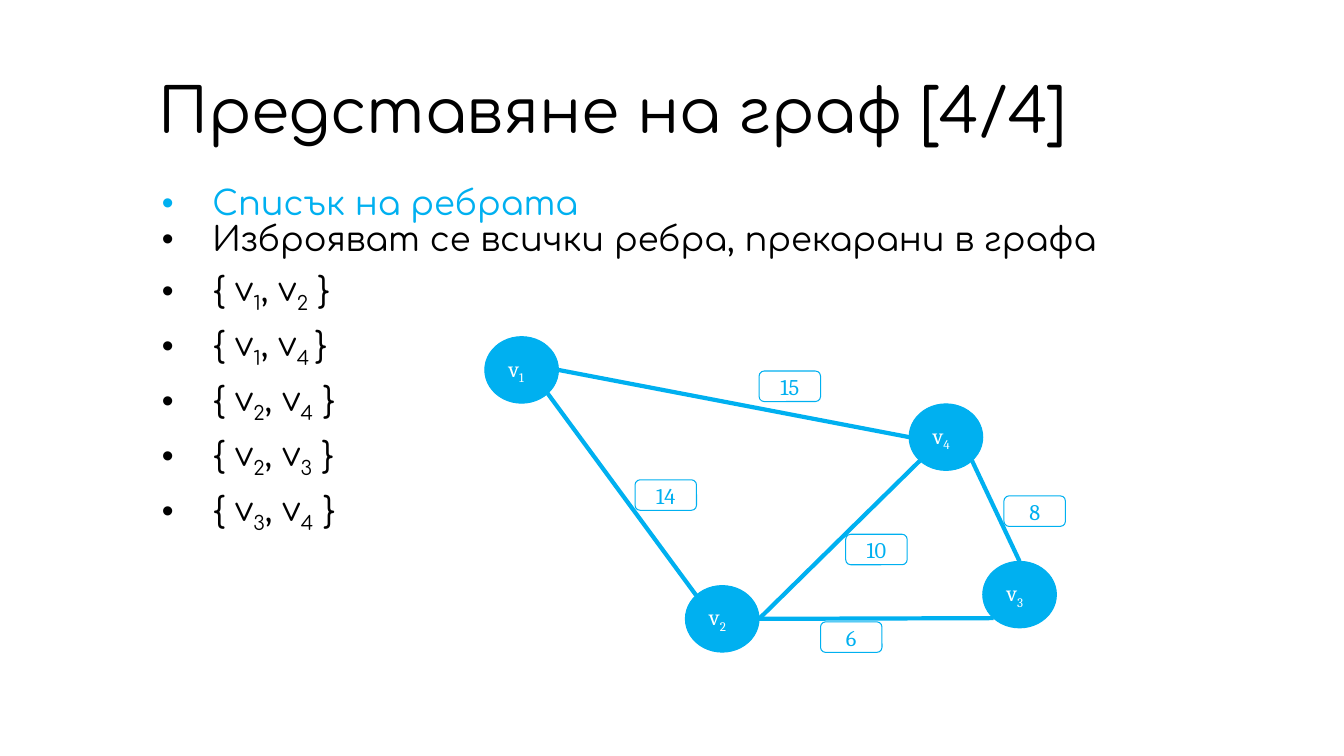
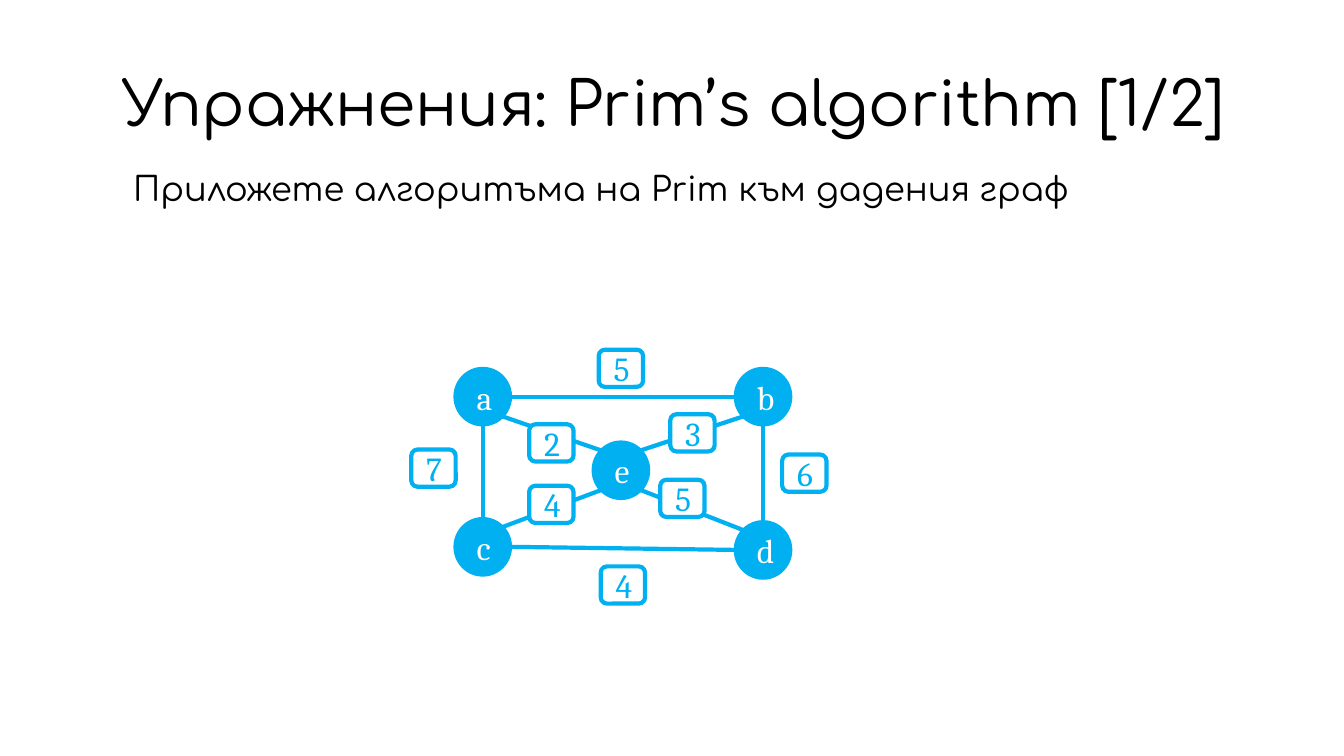
from lxml import etree
from pptx import Presentation
from pptx.dml.color import RGBColor
from pptx.enum.shapes import MSO_CONNECTOR, MSO_SHAPE
from pptx.enum.text import MSO_ANCHOR, MSO_AUTO_SIZE, PP_ALIGN
from pptx.oxml.ns import qn
from pptx.util import Pt

OVAL = MSO_SHAPE.OVAL
ROUNDED = MSO_SHAPE.ROUNDED_RECTANGLE
STRAIGHT = MSO_CONNECTOR.STRAIGHT
TOP, MIDDLE = MSO_ANCHOR.TOP, MSO_ANCHOR.MIDDLE
LEFT, CENTER = PP_ALIGN.LEFT, PP_ALIGN.CENTER
BLUE, BLACK, WHITE = "00B0F0", "000000", "FFFFFF"
TEXT_FONT, GRAPH_FONT = "Comfortaa", "Cambria"
TITLE_SIZE, BODY_SIZE = 44, 24
EDGE_WIDTH = 3
DIAGONAL = 0.5 ** 0.5
SITES = {
    "top": (0, -1),
    "left": (-1, 0),
    "bottom": (0, 1),
    "right": (1, 0),
    "top left": (-DIAGONAL, -DIAGONAL),
    "top right": (DIAGONAL, -DIAGONAL),
    "bottom left": (-DIAGONAL, DIAGONAL),
    "bottom right": (DIAGONAL, DIAGONAL),
}

edge_pairs = [("1", "2"), ("1", "4 "), ("2", "4"), ("2", "3"), ("3", "4")]
edge_list = [
    ["{ v", first, ", v", second, "}" if second.endswith(" ") else " }"]
    for first, second in edge_pairs
]

slides = [
    {
        "title": "Представяне на граф [4/4]",
        "title_box": (104.4, 51.1, 751.7, 60.5),
        "body_box": (95, 130.3, 745.9, 272.2),
        "bulleted": True,
        "body": [
            (["Списък на ребрата"], BLUE, 0.9),
            (["Изброяват се всички ребра, прекарани в графа"], BLACK, 0.9),
        ] + [(parts, BLACK, 1.2) for parts in edge_list],
        "text_size": 16,
        "outline": 0.75,
        "node_size": (52.6, 47.5),
        "node_align": LEFT,
        "nodes": {
            "v1": (346.3, 240.5),
            "v2": (489.6, 418.3),
            "v3": (702, 401),
            "v4": (649.4, 288.5),
        },
        "edges": [
            ("v1", "bottom right", "v2", "top left"),
            ("v2", "right", "v3", "bottom left"),
            ("v3", "top", "v4", "bottom right"),
            ("v2", "right", "v4", "bottom left"),
            ("v1", "right", "v4", "left"),
        ],
        "weight_size": (43.9, 21.8),
        "weight_fill": None,
        "weights": [
            ("14", 453.6, 342.7),
            ("6", 586.1, 444.2),
            ("8", 717.1, 354.2),
            ("10", 604.1, 381.6),
            ("15", 542.2, 265),
        ],
    },
    {
        "title": "Упражнения: Prim’s algorithm [1/2]",
        "title_box": (79.2, 46.1, 821.5, 60.5),
        "body_box": (86.4, 120.2, 814.3, 107.3),
        "bulleted": False,
        "body": [(["Приложете алгоритъма на Prim към дадения граф"], BLACK, 0.9)],
        "text_size": 24,
        "outline": 3,
        "node_size": (38.9, 39.6),
        "node_align": CENTER,
        "nodes": {
            "a": (325.4, 263.5),
            "e": (424.1, 316.1),
            "c": (325.4, 370.8),
            "d": (525.6, 373),
            "b": (525.6, 263.5),
        },
        "edges": [
            ("a", "right", "b", "left"),
            ("b", "bottom", "d", "top"),
            ("c", "right", "d", "left"),
            ("a", "bottom", "c", "top"),
            ("c", "top right", "e", "bottom left"),
            ("e", "top right", "b", "bottom left"),
            ("e", "top left", "a", "bottom right"),
            ("e", "bottom right", "d", "top left"),
        ],
        "weight_size": (31.7, 26.6),
        "weight_fill": WHITE,
        "weights": [
            ("7", 293.8, 321.1),
            ("4", 378, 347),
            ("2", 378, 303.1),
            ("3", 478.8, 295.9),
            ("5", 471.6, 342.7),
            ("4", 429.1, 404.6),
            ("5", 427.7, 249.8),
            ("6", 558.7, 324.7),
        ],
    },
]


def color(value):
    return RGBColor.from_string(value)


def add_run(paragraph, text, size, font_name, text_color, subscript=False):
    run = paragraph.add_run()
    run.text = text
    run.font.size = Pt(size)
    run.font.name = font_name
    run.font.color.rgb = color(text_color)
    if subscript:
        run._r.get_or_add_rPr().set("baseline", "-25000")


presentation = Presentation()
presentation.slide_width = Pt(960)
presentation.slide_height = Pt(540)
layout = presentation.slide_layouts[1]

for content in slides:
    slide = presentation.slides.add_slide(layout)
    title, body = slide.shapes.title, slide.placeholders[1]

    for placeholder, box, anchor in (
        (title, content["title_box"], MIDDLE),
        (body, content["body_box"], TOP),
    ):
        placeholder.left, placeholder.top, placeholder.width, placeholder.height = map(Pt, box)
        frame = placeholder.text_frame
        frame.word_wrap = True
        frame.auto_size = MSO_AUTO_SIZE.NONE
        frame.vertical_anchor = anchor
        frame.margin_left = frame.margin_right = Pt(8.64)
        frame.margin_top = frame.margin_bottom = Pt(2.9)

    paragraph = title.text_frame.paragraphs[0]
    paragraph.alignment = LEFT
    paragraph.line_spacing = 0.9
    add_run(paragraph, content["title"], TITLE_SIZE, TEXT_FONT, BLACK)

    for index, (parts, text_color, spacing) in enumerate(content["body"]):
        frame = body.text_frame
        paragraph = frame.add_paragraph() if index else frame.paragraphs[0]
        properties = paragraph._p.get_or_add_pPr()
        if content["bulleted"]:
            properties.set("marL", str(Pt(48)))
            properties.set("indent", str(Pt(-36)))
        else:
            properties.set("marL", "0")
            properties.set("indent", "0")
            etree.SubElement(properties, qn("a:buNone"))
        paragraph.line_spacing = spacing
        paragraph.space_before = Pt(0)
        for position, part in enumerate(parts):
            add_run(paragraph, part, BODY_SIZE, TEXT_FONT, text_color, position % 2 == 1)

    node_width, node_height = content["node_size"]
    for start, start_site, end, end_site in content["edges"]:
        points = []
        for name, site in ((start, start_site), (end, end_site)):
            left, top = content["nodes"][name]
            across, down = SITES[site]
            points.append(Pt(left + node_width / 2 * (1 + across)))
            points.append(Pt(top + node_height / 2 * (1 + down)))
        edge = slide.shapes.add_connector(STRAIGHT, *points)
        edge.line.color.rgb = color(BLUE)
        edge.line.width = Pt(EDGE_WIDTH)
        etree.SubElement(edge._element.spPr, qn("a:effectLst"))

    graph_shapes = [
        (OVAL, name, place, content["node_size"], BLUE, WHITE, content["node_align"])
        for name, place in content["nodes"].items()
    ] + [
        (ROUNDED, weight, place, content["weight_size"], content["weight_fill"], BLUE, CENTER)
        for weight, *place in content["weights"]
    ]
    for kind, text, place, size, fill, text_color, alignment in graph_shapes:
        shape = slide.shapes.add_shape(kind, *map(Pt, (*place, *size)))
        shape.shadow.inherit = False
        if fill:
            shape.fill.solid()
            shape.fill.fore_color.rgb = color(fill)
        else:
            shape.fill.background()
        shape.line.color.rgb = color(BLUE)
        shape.line.width = Pt(content["outline"])
        frame = shape.text_frame
        frame.word_wrap = True
        frame.vertical_anchor = MIDDLE
        frame.margin_left = frame.margin_right = Pt(9.36)
        frame.margin_top = frame.margin_bottom = Pt(9.36)
        paragraph = frame.paragraphs[0]
        paragraph.alignment = alignment
        parts = (text[0], text[1:]) if text.startswith("v") else (text,)
        for position, part in enumerate(parts):
            add_run(paragraph, part, content["text_size"], GRAPH_FONT, text_color, position == 1)

presentation.save("out.pptx")
